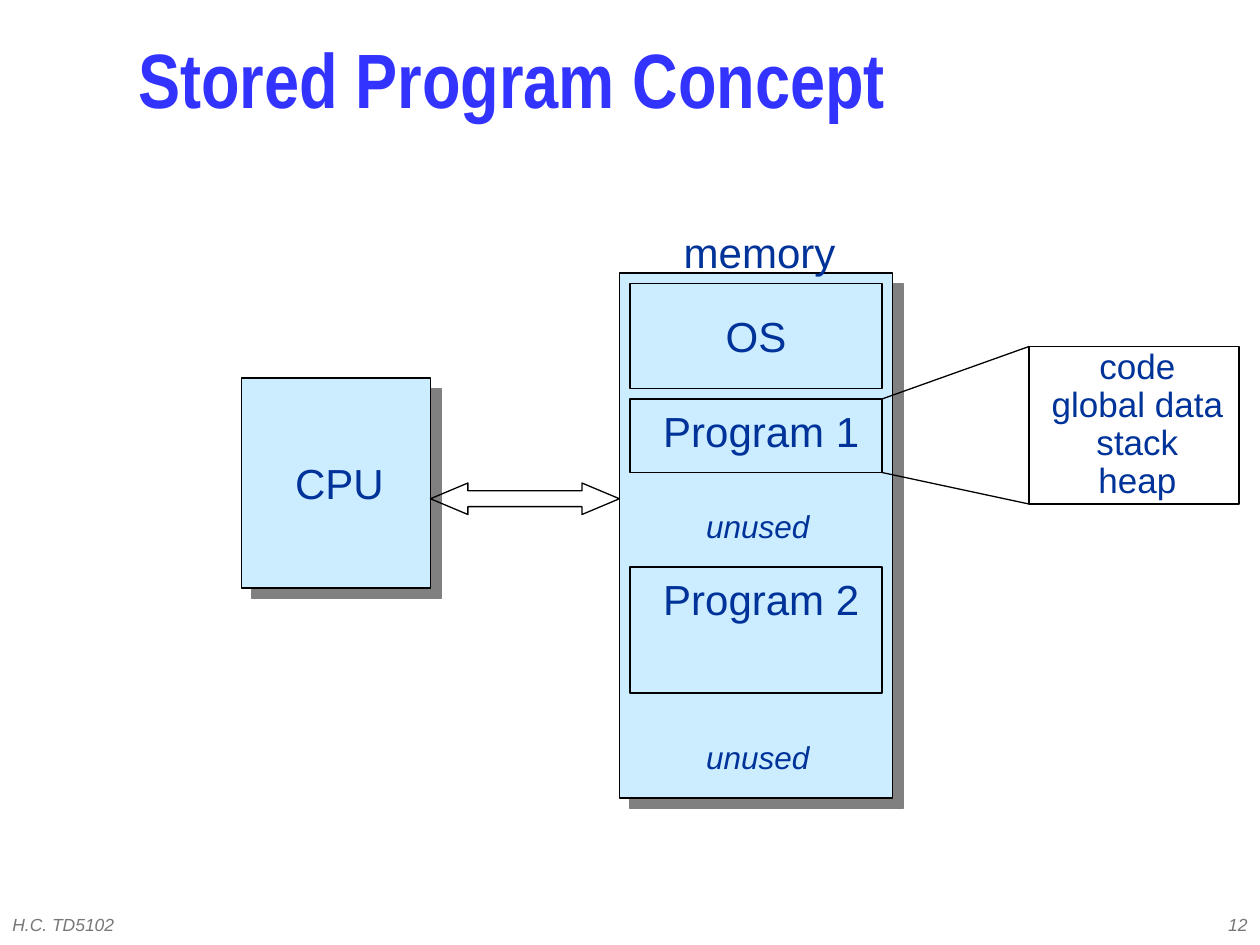
import pptx
import pptx.dml.color
import pptx.enum.shapes
import pptx.enum.text
import pptx.oxml
import pptx.oxml.ns
import pptx.oxml.xmlchemy
import pptx.util

Pt = pptx.util.Pt
RGBColor = pptx.dml.color.RGBColor
MSO_SHAPE = pptx.enum.shapes.MSO_SHAPE
PP_ALIGN = pptx.enum.text.PP_ALIGN

BLACK = RGBColor(0x01, 0x00, 0x00)
PALE_BLUE = RGBColor(0xCC, 0xEC, 0xFF)
NAVY = RGBColor(0x00, 0x33, 0x99)
BLUE = RGBColor(0x33, 0x33, 0xFF)
GRAY = RGBColor(0x77, 0x77, 0x77)

SHADOW = (
    '<a:effectLst %s><a:outerShdw dist="107950" dir="2700000" algn="ctr" '
    'rotWithShape="0"><a:srgbClr val="808080"/></a:outerShdw></a:effectLst>'
    % pptx.oxml.ns.nsdecls("a")
)
NO_EFFECT = "<a:effectLst %s/>" % pptx.oxml.ns.nsdecls("a")


def write_text(tf, text, size=24, color=NAVY, font="Arial", bold=False,
               italic=False, align=PP_ALIGN.CENTER, spacing=1.1, gap=0):
    for i, line in enumerate(text.split("\n")):
        p = tf.paragraphs[0] if i == 0 else tf.add_paragraph()
        p.alignment = align
        p.line_spacing = spacing
        if i:
            p.space_before = Pt(gap)
        r = p.add_run()
        r.text = line
        r.font.size = Pt(size)
        r.font.name = font
        r.font.bold = bold
        r.font.italic = italic
        r.font.color.rgb = color


class Diagram:
    def __init__(self, slide):
        self.s = slide
        self.line_color = BLACK
        self.line_width = Pt(0.75)

    def outline(self, sp):
        sp.line.color.rgb = self.line_color
        sp.line.width = self.line_width

    def text(self, x, y, w, h, text, **fmt):
        sp = self.s.shapes.add_textbox(Pt(x), Pt(y), Pt(w), Pt(h))
        tf = sp.text_frame
        tf.word_wrap = True
        tf.vertical_anchor = pptx.enum.text.MSO_ANCHOR.MIDDLE
        write_text(tf, text, **fmt)

    def shape(self, x, y, w, h, kind=MSO_SHAPE.RECTANGLE):
        sp = self.s.shapes.add_shape(kind, Pt(x), Pt(y), Pt(w), Pt(h))
        sp.shadow.inherit = False
        sp.fill.background()
        self.outline(sp)
        return sp

    def block(self, x, y, w, h):
        sp = self.shape(x, y, w, h)
        sp.fill.solid()
        sp.fill.fore_color.rgb = PALE_BLUE
        spPr = sp._element.spPr
        spPr.remove(spPr.find(pptx.oxml.ns.qn("a:effectLst")))
        spPr.append(pptx.oxml.parse_xml(SHADOW))

    def double_arrow(self, x, y, w, h):
        sp = self.shape(x, y, w, h, MSO_SHAPE.LEFT_RIGHT_ARROW)
        sp.adjustments[0] = 0.5
        sp.adjustments[1] = 1.19

    def line(self, x1, y1, x2, y2):
        sp = self.s.shapes.add_connector(
            pptx.enum.shapes.MSO_CONNECTOR.STRAIGHT, Pt(x1), Pt(y1), Pt(x2), Pt(y2))
        self.outline(sp)
        sp._element.spPr.append(pptx.oxml.parse_xml(NO_EFFECT))


def main():
    prs = pptx.Presentation()
    prs.slide_width, prs.slide_height = Pt(720), Pt(540)
    d = Diagram(prs.slides.add_slide(prs.slide_layouts[6]))

    footer = dict(size=10, color=GRAY, italic=True, spacing=1.0)
    d.text(0, 516, 228, 24, "H.C. TD5102", align=PP_ALIGN.LEFT, **footer)
    d.text(570, 516, 150, 24, "12", align=PP_ALIGN.RIGHT, **footer)
    d.text(72, 12, 618, 78, "Stored Program Concept", size=44, color=BLUE,
           font="Arial Narrow", bold=True, align=PP_ALIGN.LEFT, spacing=0.7)

    d.block(138, 216, 108, 120)
    d.block(354, 156, 156, 300)

    for y, h in ((162, 60), (228, 42), (324, 72)):
        d.shape(360, y, 144, h)
    d.shape(588, 198, 120, 90)
    d.line(504, 228, 588, 198)
    d.line(504, 270, 588, 288)
    d.double_arrow(246, 276, 108, 18)

    for x, y, w, label in (
        (374, 123, 120, "memory"),
        (382, 171, 100, "OS"),
        (360, 225, 150, "Program 1"),
        (360, 321, 150, "Program 2"),
        (152, 255, 84, "CPU"),
    ):
        d.text(x, y, w, 39, label)
    for y in (284, 416):
        d.text(383, y, 100, 31, "unused", size=18, italic=True)
    d.text(588, 200, 124, 89, "code\nglobal data\nstack\nheap",
           size=20, spacing=0.7, gap=5)

    prs.save("out.pptx")


if __name__ == "__main__":
    main()
